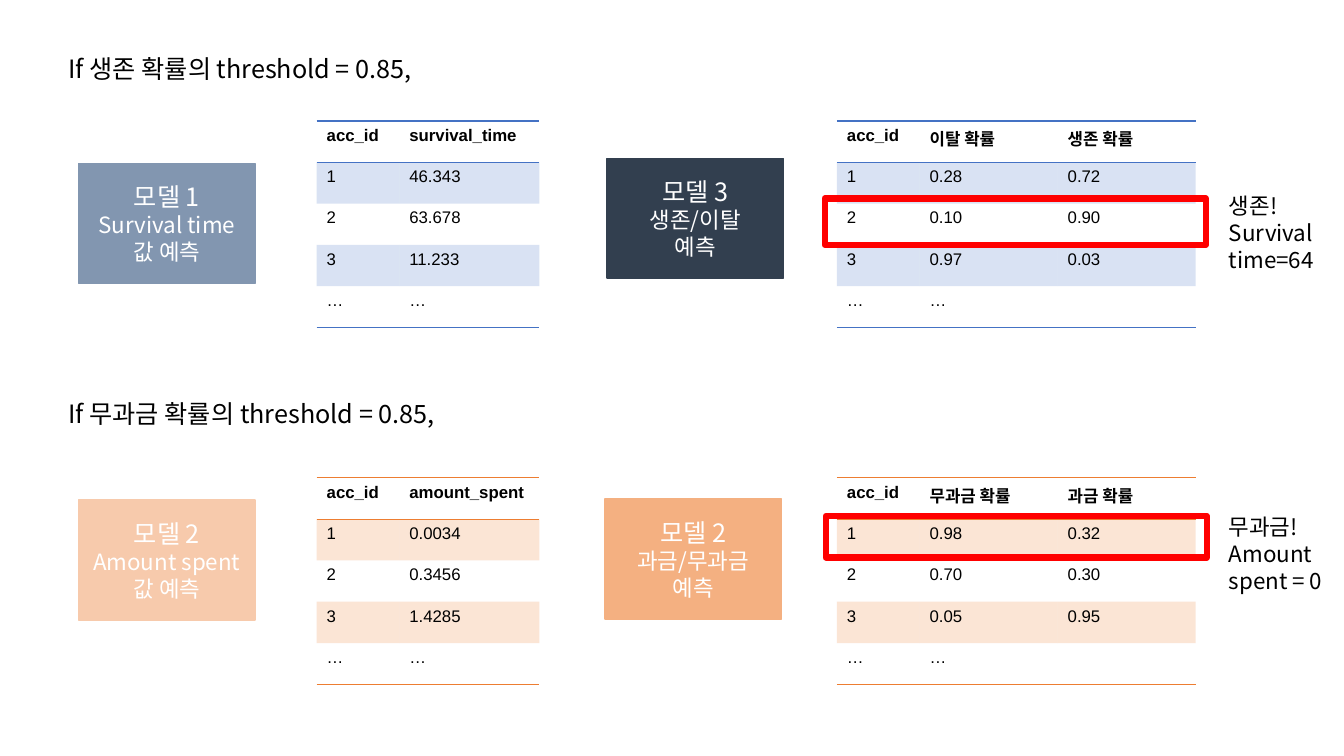
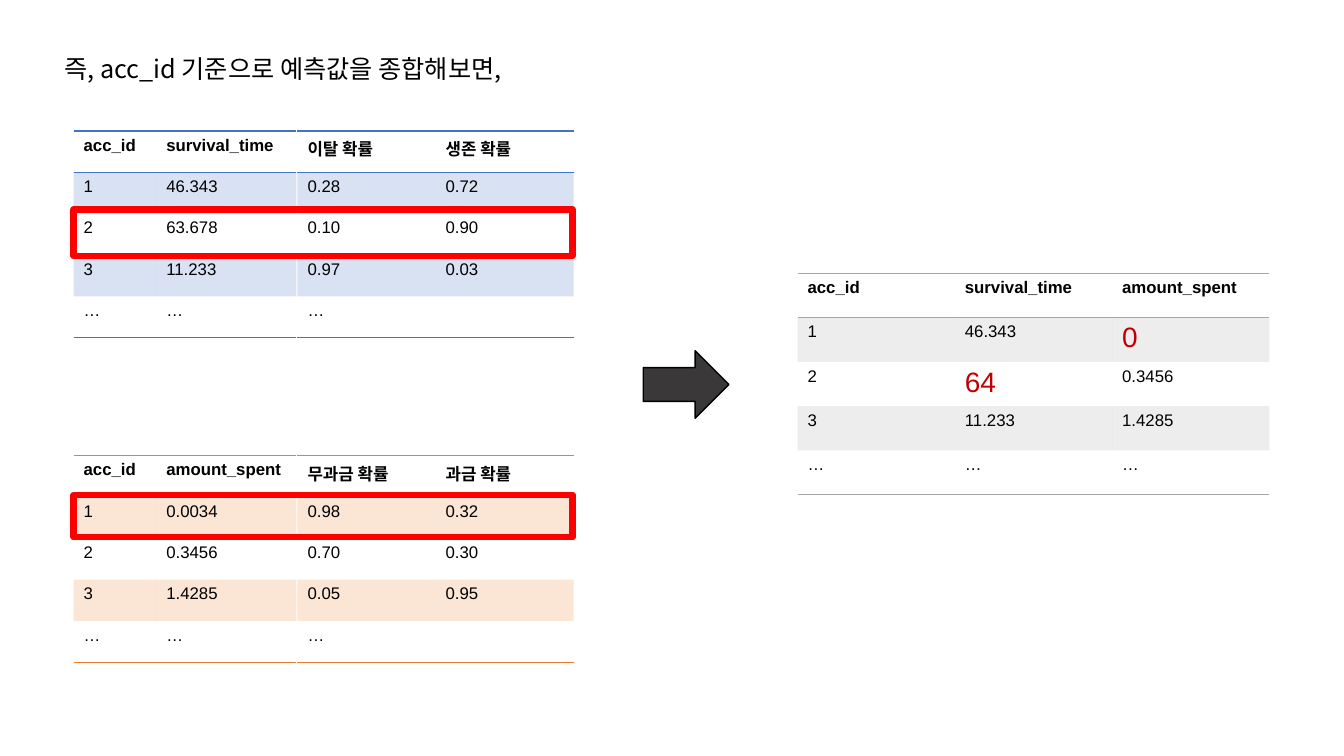
from dataclasses import dataclass
from typing import Any, Optional

from lxml import etree
from pptx import Presentation
from pptx.dml import color
from pptx.enum import shapes, text
from pptx.oxml import ns
from pptx import util as u

EMU_PER_PX = 9144  # 100 px to the inch


@dataclass(frozen=True)
class Theme:
    body_font: str = "Noto Sans CJK KR"
    table_font: str = "Arial"
    title_size: int = 18
    body_size: int = 16
    table_size: int = 12
    emphasis_size: int = 20
    black: str = "000000"
    white: str = "FFFFFF"
    survival: str = "4472C4"
    spending: str = "ED7D31"
    result: str = "A5A5A5"
    slate: str = "8296B0"
    navy: str = "323F4F"
    peach: str = "F7CAAC"
    apricot: str = "F4B081"
    arrow: str = "3A3838"
    highlight: str = "FF0000"
    emphasis: str = "C00000"
    band_opacity: int = 20
    line_width: float = 1
    highlight_width: float = 4.5
    plain_table: str = "{2D5ABB26-0587-4C30-8999-92F81FD0307C}"


THEME = Theme()


@dataclass(frozen=True)
class Box:
    left: int
    top: int
    width: int
    height: int

    def emu(self) -> list[u.Emu]:
        return [px(n) for n in (self.left, self.top, self.width, self.height)]


@dataclass(frozen=True)
class Column:
    width: int
    cells: tuple[str, ...]


@dataclass(frozen=True)
class DataTable:
    left: int
    top: int
    accent: str
    columns: tuple[Column, ...]
    row_height: int = 41
    emphasized: tuple[tuple[int, int], ...] = ()


@dataclass(frozen=True)
class ModelCard:
    left: int
    top: int
    fill: str
    lines: tuple[str, ...]


@dataclass(frozen=True)
class Note:
    box: Box
    lines: tuple[str, ...]
    size: int


ACC_ID = Column(82, ("acc_id", "1", "2", "3", "…"))
SURVIVAL_TIME = Column(139, ("survival_time", "46.343", "63.678", "11.233", "…"))
AMOUNT_SPENT = Column(139, ("amount_spent", "0.0034", "0.3456", "1.4285", "…"))
CHURN_ODDS = (
    Column(137, ("이탈 확률", "0.28", "0.10", "0.97", "…")),
    Column(137, ("생존 확률", "0.72", "0.90", "0.03", "")),
)
SPENDING_ODDS = (
    Column(137, ("무과금 확률", "0.98", "0.70", "0.05", "…")),
    Column(137, ("과금 확률", "0.32", "0.30", "0.95", "")),
)
RESULT = (
    Column(156, ACC_ID.cells),
    Column(156, ("survival_time", "46.343", "64", "11.233", "…")),
    Column(156, ("amount_spent", "0", "0.3456", "1.4285", "…")),
)

MODEL_CARDS = (
    ModelCard(78, 162, THEME.slate, ("모델 1", "Survival time 값 예측")),
    ModelCard(78, 496, THEME.peach, ("모델 2", "Amount spent", "값 예측")),
    ModelCard(602, 157, THEME.navy, ("모델 3", "생존/이탈", "예측")),
    ModelCard(600, 495, THEME.apricot, ("모델 2", "과금/무과금", "예측")),
)
THRESHOLD_TABLES = (
    DataTable(314, 120, THEME.survival, (ACC_ID, SURVIVAL_TIME)),
    DataTable(830, 120, THEME.survival, (ACC_ID, *CHURN_ODDS)),
    DataTable(314, 474, THEME.spending, (ACC_ID, AMOUNT_SPENT)),
    DataTable(830, 474, THEME.spending, (ACC_ID, *SPENDING_ODDS)),
)
THRESHOLD_HIGHLIGHTS = (Box(818, 197, 378, 46), Box(819, 512, 378, 41))
THRESHOLD_NOTES = (
    Note(Box(58, 48, 398, 40), ("If 생존 확률의 threshold = 0.85,",), THEME.title_size),
    Note(Box(58, 390, 504, 40), ("If 무과금 확률의 threshold = 0.85,",), THEME.title_size),
    Note(Box(1209, 186, 124, 91), ("생존!", "Survival time=64"), THEME.body_size),
    Note(Box(1209, 504, 124, 91), ("무과금!", "Amount", "spent = 0"), THEME.body_size),
)

SUMMARY_TABLES = (
    DataTable(73, 130, THEME.survival, (ACC_ID, SURVIVAL_TIME)),
    DataTable(295, 130, THEME.survival, CHURN_ODDS),
    DataTable(73, 452, THEME.spending, (ACC_ID, AMOUNT_SPENT)),
    DataTable(295, 452, THEME.spending, SPENDING_ODDS),
    DataTable(791, 271, THEME.result, RESULT, 44, ((1, 2), (2, 1))),
)
SUMMARY_HIGHLIGHTS = (Box(73, 208, 495, 46), Box(73, 491, 495, 42))
SUMMARY_NOTES = (
    Note(Box(54, 48, 481, 40), ("즉, acc_id 기준으로 예측값을 종합해보면,",), THEME.title_size),
)
SUMMARY_ARROW = Box(638, 348, 85, 67)


def px(length: int) -> u.Emu:
    return u.Emu(length * EMU_PER_PX)


def rgb(value: str) -> color.RGBColor:
    return color.RGBColor.from_string(value)


def apply_format(target: Any, values: dict[str, Any]) -> None:
    for name, value in values.items():
        setattr(target, name, value)


def write_line(
    paragraph: Any, line: str, font: str, size: int, ink: str, bold: bool = False
) -> None:
    """Add one run, using the Korean face for East Asian letters."""
    run = paragraph.add_run()
    run.text = line
    apply_format(run.font, {"name": font, "size": u.Pt(size), "bold": bold})
    run.font.color.rgb = rgb(ink)
    latin = run.font._element.find(ns.qn("a:latin"))
    east_asian = etree.Element(ns.qn("a:ea"), typeface=THEME.body_font)
    latin.addnext(east_asian)


def write_lines(
    frame: Any, lines: tuple[str, ...], sizes: list[int], ink: str, align: Any
) -> None:
    for index, (line, size) in enumerate(zip(lines, sizes)):
        paragraph = frame.add_paragraph() if index else frame.paragraphs[0]
        paragraph.alignment = align
        write_line(paragraph, line, THEME.body_font, size, ink)


def add_preset(
    slide: Any, kind: Any, box: Box, fill: Optional[str], line: str, width: float
) -> Any:
    shape = slide.shapes.add_shape(kind, *box.emu())
    shape.shadow.inherit = False
    if fill:
        shape.fill.solid()
        shape.fill.fore_color.rgb = rgb(fill)
    else:
        shape.fill.background()
    shape.line.color.rgb = rgb(line)
    shape.line.width = u.Pt(width)
    return shape


def add_card(slide: Any, card: ModelCard) -> None:
    box = Box(card.left, card.top, 175, 119)
    shape = add_preset(
        slide, shapes.MSO_SHAPE.RECTANGLE, box, card.fill, card.fill, THEME.line_width
    )
    frame = shape.text_frame
    apply_format(frame, {"word_wrap": True, "vertical_anchor": text.MSO_ANCHOR.MIDDLE})
    sizes = [THEME.title_size] + [THEME.body_size] * (len(card.lines) - 1)
    write_lines(frame, card.lines, sizes, THEME.white, text.PP_ALIGN.CENTER)


def add_note(slide: Any, note: Note) -> None:
    frame = slide.shapes.add_textbox(*note.box.emu()).text_frame
    apply_format(
        frame, {"word_wrap": True, "auto_size": text.MSO_AUTO_SIZE.SHAPE_TO_FIT_TEXT}
    )
    sizes = [note.size] * len(note.lines)
    write_lines(frame, note.lines, sizes, THEME.black, text.PP_ALIGN.LEFT)


def add_highlight(slide: Any, box: Box) -> None:
    add_preset(
        slide, shapes.MSO_SHAPE.RECTANGLE, box, None, THEME.highlight, THEME.highlight_width
    )


def add_border(cell: Any, edge: str, accent: str) -> None:
    """Put a border ahead of the cell fill; call for the bottom before the top."""
    line = etree.Element(ns.qn(f"a:{edge}"), w=str(u.Pt(THEME.line_width)))
    fill = etree.SubElement(line, ns.qn("a:solidFill"))
    etree.SubElement(fill, ns.qn("a:srgbClr"), val=accent)
    cell._tc.get_or_add_tcPr().insert(0, line)


def fill_cell(cell: Any, accent: str, banded: bool) -> None:
    if not banded:
        cell.fill.background()
        return
    cell.fill.solid()
    cell.fill.fore_color.rgb = rgb(accent)
    tint = cell._tc.tcPr.find(".//" + ns.qn("a:srgbClr"))
    etree.SubElement(tint, ns.qn("a:alpha"), val=str(THEME.band_opacity * 1000))


def add_data_table(slide: Any, data: DataTable) -> None:
    row_count = len(data.columns[0].cells)
    width = sum(column.width for column in data.columns)
    box = Box(data.left, data.top, width, row_count * data.row_height)
    table = slide.shapes.add_table(row_count, len(data.columns), *box.emu()).table
    table._tbl.tblPr.find(ns.qn("a:tableStyleId")).text = THEME.plain_table
    for row in table.rows:
        row.height = px(data.row_height)
    for column_index, column in enumerate(data.columns):
        table.columns[column_index].width = px(column.width)
        for row_index, value in enumerate(column.cells):
            cell = table.cell(row_index, column_index)
            header = row_index == 0
            fill_cell(cell, data.accent, row_index % 2 == 1)
            if header or row_index == row_count - 1:
                add_border(cell, "lnB", data.accent)
            if header:
                add_border(cell, "lnT", data.accent)
            if value:
                size, ink = THEME.table_size, THEME.black
                if (row_index, column_index) in data.emphasized:
                    size, ink = THEME.emphasis_size, THEME.emphasis
                paragraph = cell.text_frame.paragraphs[0]
                write_line(paragraph, value, THEME.table_font, size, ink, header)


def add_slide(
    presentation: Any,
    tables: tuple[DataTable, ...],
    highlights: tuple[Box, ...],
    notes: tuple[Note, ...],
    cards: tuple[ModelCard, ...] = (),
) -> Any:
    slide = presentation.slides.add_slide(presentation.slide_layouts[6])
    for card in cards:
        add_card(slide, card)
    for data in tables:
        add_data_table(slide, data)
    for box in highlights:
        add_highlight(slide, box)
    for note in notes:
        add_note(slide, note)
    return slide


def main() -> None:
    presentation = Presentation()
    apply_format(presentation, {"slide_width": px(1333), "slide_height": px(750)})
    add_slide(
        presentation, THRESHOLD_TABLES, THRESHOLD_HIGHLIGHTS, THRESHOLD_NOTES, MODEL_CARDS
    )
    summary = add_slide(presentation, SUMMARY_TABLES, SUMMARY_HIGHLIGHTS, SUMMARY_NOTES)
    add_preset(
        summary,
        shapes.MSO_SHAPE.RIGHT_ARROW,
        SUMMARY_ARROW,
        THEME.arrow,
        THEME.black,
        THEME.line_width,
    )
    presentation.save("out.pptx")


if __name__ == "__main__":
    main()
